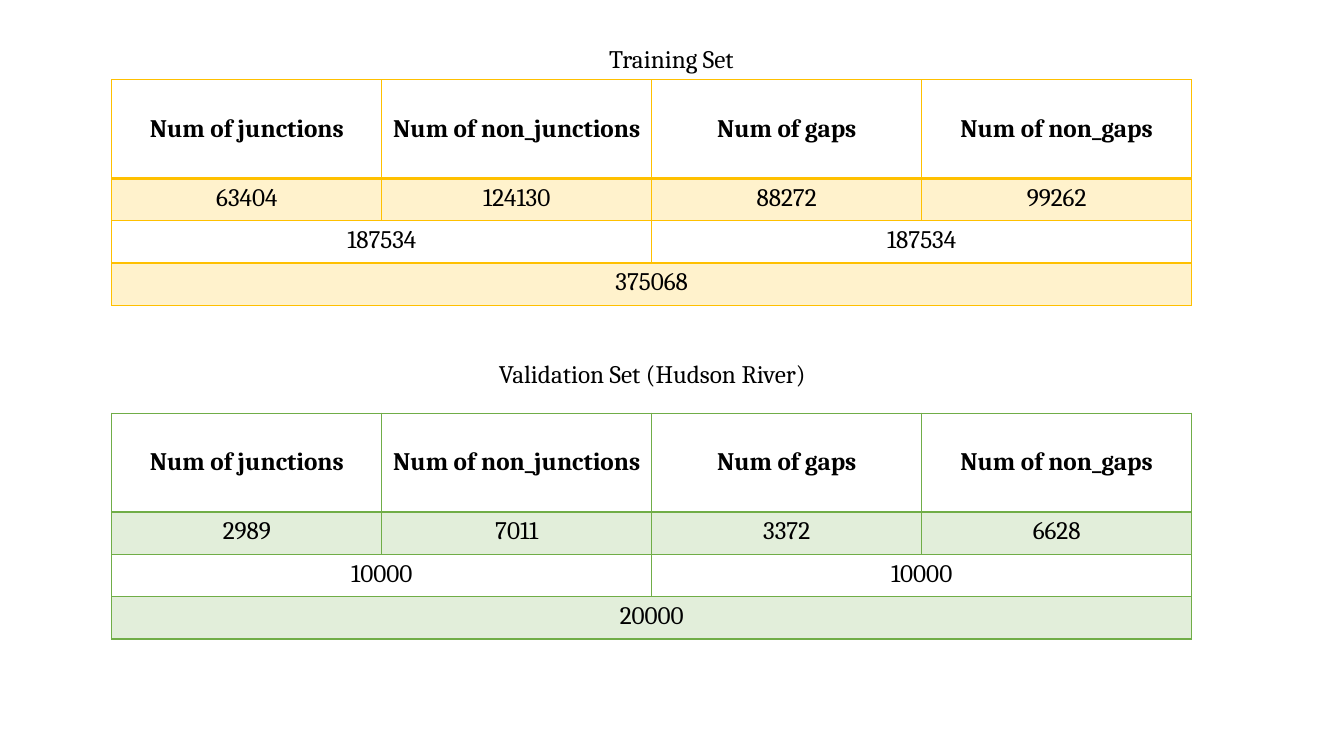
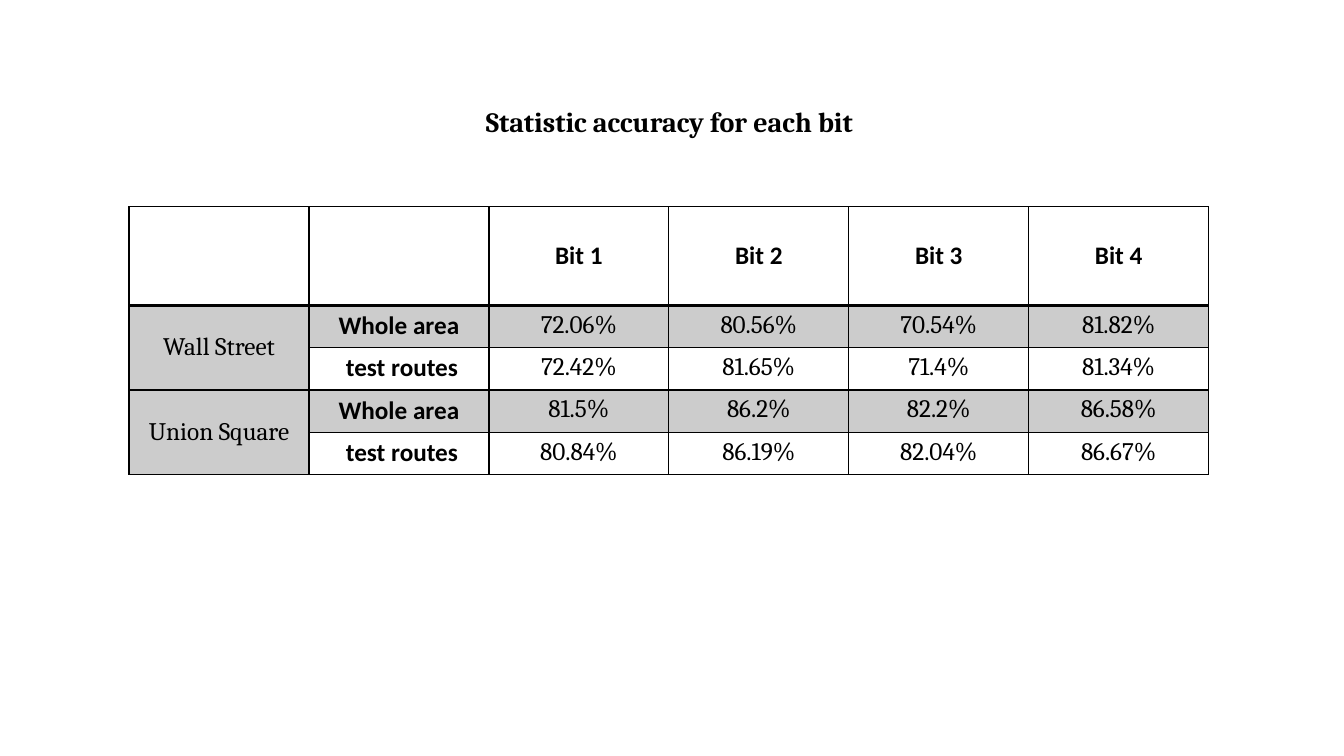
import pptx
import pptx.dml.color
import pptx.enum.text
import pptx.oxml
import pptx.oxml.ns
import pptx.util

Inches, Pt = pptx.util.Inches, pptx.util.Pt
ALIGN, ANCHOR = pptx.enum.text.PP_ALIGN, pptx.enum.text.MSO_ANCHOR

INK, GOLD, GREEN = "000000", "FFC000", "70AD47"
SERIF, SANS = "Cambria", "Calibri"
TINT = 20  # percent of opacity in the shaded rows
TABLE_WIDTH, HEADER_HEIGHT, ROW_HEIGHT = 10.71, 0.98, 0.42
CAPTION_WIDTH, CAPTION_HEIGHT = 4.44, 0.4

COUNT_HEADS = ["Num of junctions", "Num of non_junctions", "Num of gaps", "Num of non_gaps"]
COUNT_MERGES = [(2, 0, 2, 1), (2, 2, 2, 3), (3, 0, 3, 3)]

# Captions hold text, left, top and size; merges hold first and last row and column.
pages = [
    [
        dict(
            caption=("Training Set", 4.44, 0.38, 18), left=1.11, top=0.79, colour=GOLD,
            head_font=SERIF, label_column=None, merges=COUNT_MERGES,
            rows=[COUNT_HEADS,
                  ["63404", "124130", "88272", "99262"],
                  ["187534", "", "187534", ""],
                  ["375068", "", "", ""]],
        ),
        dict(
            caption=("Validation Set (Hudson River)", 4.25, 3.51, 18), left=1.11, top=4.1,
            colour=GREEN, head_font=SERIF, label_column=None, merges=COUNT_MERGES,
            rows=[COUNT_HEADS,
                  ["2989", "7011", "3372", "6628"],
                  ["10000", "", "10000", ""],
                  ["20000", "", "", ""]],
        ),
    ],
    [
        dict(
            caption=("Statistic accuracy for each bit", 4.42, 0.99, 20), left=1.28, top=2.05,
            colour=INK, head_font=SANS, label_column=1, merges=[(1, 0, 2, 0), (3, 0, 4, 0)],
            rows=[["", "", "Bit 1", "Bit 2", "Bit 3", "Bit 4"],
                  ["Wall Street", "Whole area", "72.06%", "80.56%", "70.54%", "81.82%"],
                  ["", "test routes", "72.42%", "81.65%", "71.4%", "81.34%"],
                  ["Union Square", "Whole area", "81.5%", "86.2%", "82.2%", "86.58%"],
                  ["", "test routes", "80.84%", "86.19%", "82.04%", "86.67%"]],
        ),
    ],
]


def write(frame, text, name, size, bold):
    para = frame.paragraphs[0]
    para.alignment = ALIGN.CENTER
    span = para.add_run()
    span.text = text
    span.font.color.rgb = pptx.dml.color.RGBColor.from_string(INK)
    for key, value in dict(name=name, size=Pt(size), bold=bold).items():
        setattr(span.font, key, value)


def paint_cell(cell, colour, widths, shaded):
    """Draw the four borders (widths in points, by side) and the tinted fill."""
    properties = cell._tc.get_or_add_tcPr()
    for side in "LRTB":
        properties.append(pptx.oxml.parse_xml(
            f'<a:ln{side} {pptx.oxml.ns.nsdecls("a")} w="{Pt(widths.get(side, 1))}">'
            f'<a:solidFill><a:srgbClr val="{colour}"/></a:solidFill></a:ln{side}>'))
    if not shaded:
        cell.fill.background()
        return
    cell.fill.solid()
    cell.fill.fore_color.rgb = pptx.dml.color.RGBColor.from_string(colour)
    tone = properties.find(pptx.oxml.ns.qn("a:solidFill"))[0]
    tone.append(pptx.oxml.parse_xml(
        f'<a:alpha {pptx.oxml.ns.nsdecls("a")} val="{TINT * 1000}"/>'))


deck = pptx.Presentation()
deck.slide_width, deck.slide_height = Inches(13.33), Inches(7.5)
title_only = deck.slide_layouts[5]

for sections in pages:
    page = deck.slides.add_slide(title_only)
    for index, section in enumerate(sections):
        # The first caption of a page is its title.
        text, left, top, size = section["caption"]
        box = page.shapes.title if index == 0 else page.shapes.add_textbox(0, 0, 0, 0)
        for key, value in dict(left=left, top=top, width=CAPTION_WIDTH,
                               height=CAPTION_HEIGHT).items():
            setattr(box, key, Inches(value))
        for key, value in dict(word_wrap=True, vertical_anchor=ANCHOR.TOP,
                               auto_size=pptx.enum.text.MSO_AUTO_SIZE.NONE).items():
            setattr(box.text_frame, key, value)
        write(box.text_frame, text, SERIF, size, size > 18)

        rows = section["rows"]
        height = HEADER_HEIGHT + ROW_HEIGHT * (len(rows) - 1)
        table = page.shapes.add_table(
            len(rows), len(rows[0]), Inches(section["left"]), Inches(section["top"]),
            Inches(TABLE_WIDTH), Inches(height)).table
        table.first_row = table.horz_banding = False
        for row_number, row in enumerate(table.rows):
            row.height = Inches(ROW_HEIGHT if row_number else HEADER_HEIGHT)
        for first_row, first_column, last_row, last_column in section["merges"]:
            table.cell(first_row, first_column).merge(table.cell(last_row, last_column))

        for row_number, texts in enumerate(rows):
            is_header = row_number == 0
            widths = {0: {"B": 2}, 1: {"T": 2}}.get(row_number, {})
            for column_number, text in enumerate(texts):
                cell = table.cell(row_number, column_number)
                paint_cell(cell, section["colour"], widths, row_number % 2 == 1)
                if not text:
                    continue
                strong = is_header or column_number == section["label_column"]
                tall = cell.is_merge_origin and cell.span_height > 1
                cell.vertical_anchor = ANCHOR.MIDDLE if is_header or tall else ANCHOR.TOP
                if text == "test routes":
                    cell.margin_left = Inches(0.16)
                write(cell.text_frame, text, section["head_font"] if strong else SERIF,
                      18, strong)

deck.save("out.pptx")
